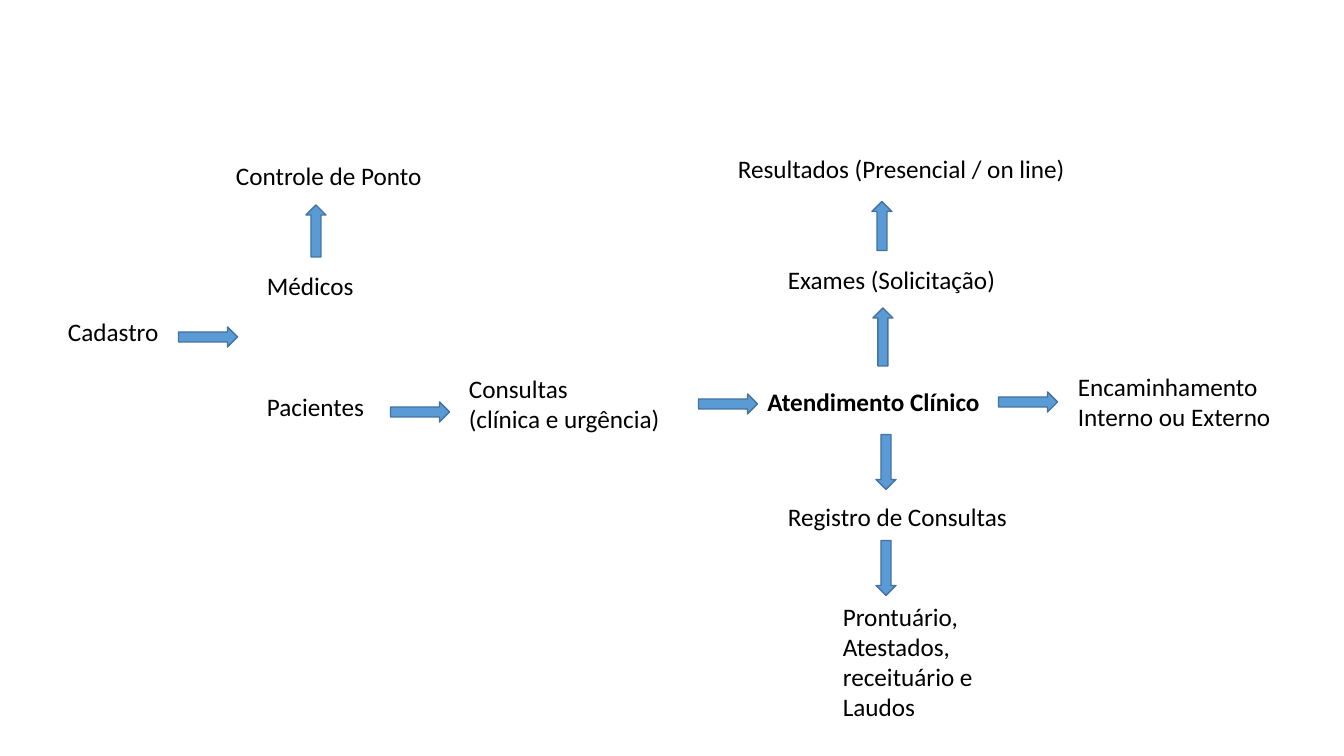
from pptx import Presentation
from pptx.dml.color import RGBColor
from pptx.enum.shapes import MSO_SHAPE as SHAPE
from pptx.enum.text import MSO_ANCHOR as ANCHOR, PP_ALIGN as ALIGN
from pptx.util import Emu, Pt

PX = 914400 / 100.8
FONT, SIZE = "Calibri", 18
COLORS = {"text": "000000", "arrow": "5B9BD5", "edge": "43739E"}

# Labels: left, top, width, height, lines
LABELS = [
    (58, 311, 112, 40, ["Cadastro"]),
    (226, 155, 209, 40, ["Controle de Ponto"]),
    (257, 265, 118, 163, ["Médicos", "Pacientes"]),
    (459, 368, 227, 72, ["Consultas", "(clínica e urgência)"]),
    (728, 148, 351, 40, ["Resultados (Presencial / on line)"]),
    (778, 259, 230, 40, ["Exames (Solicitação)"]),
    (778, 496, 246, 40, ["Registro de Consultas"]),
    (833, 596, 157, 132, ["Prontuário,", "Atestados,", "receituário e", "Laudos"]),
    (1068, 366, 215, 72, ["Encaminhamento", "Interno ou Externo"]),
]
BRANCH_GAP = {"Pacientes": 65}  # points above the second branch
CENTER = (756, 332, 235, 90, ["Atendimento Clínico"])

# Arrows: direction, centre x, centre y, length
ARROWS = [
    ("right", 208, 337, 59), ("right", 420, 412, 59),
    ("right", 728, 404, 59), ("right", 1028, 402, 59),
    ("up", 316, 231, 52), ("up", 882, 226, 49), ("up", 883, 337, 58),
    ("down", 886, 462, 55), ("down", 886, 568, 55),
]
ARROW_WIDTH = 20


def px(n):
    return Emu(round(n * PX))


def color(name):
    return RGBColor.from_string(COLORS[name])


def add_label(s, left, top, width, height, lines, wrap=False):
    tf = s.shapes.add_textbox(px(left), px(top), px(width), px(height)).text_frame
    tf.word_wrap = wrap
    tf.text = "\n".join(lines)
    for p in tf.paragraphs:
        p.font.name, p.font.size = FONT, Pt(SIZE)
        p.font.color.rgb = color("text")
        p.space_before = Pt(BRANCH_GAP.get(p.text, 0))
    return tf


def add_arrow(s, direction, cx, cy, length):
    w, h = (ARROW_WIDTH, length) if direction == "up" else (length, ARROW_WIDTH)
    kind = SHAPE.UP_ARROW if direction == "up" else SHAPE.RIGHT_ARROW
    sp = s.shapes.add_shape(kind, px(cx - w / 2), px(cy - h / 2), px(w), px(h))
    if direction == "down":
        sp.rotation = 90
    sp.shadow.inherit = False
    sp.fill.solid()
    sp.fill.fore_color.rgb = color("arrow")
    sp.line.color.rgb = color("edge")
    sp.line.width = Pt(1)


prs = Presentation()
prs.slide_width, prs.slide_height = px(1344), px(756)
s = prs.slides.add_slide(prs.slide_layouts[6])

# Flow labels
for label in LABELS:
    add_label(s, *label)

# Central step
tf = add_label(s, *CENTER, wrap=True)
tf.vertical_anchor = ANCHOR.BOTTOM
p = tf.paragraphs[0]
p.alignment, p.line_spacing, p.font.bold = ALIGN.CENTER, 0.9, True

# Arrows between steps
for arrow in ARROWS:
    add_arrow(s, *arrow)

prs.save("out.pptx")
